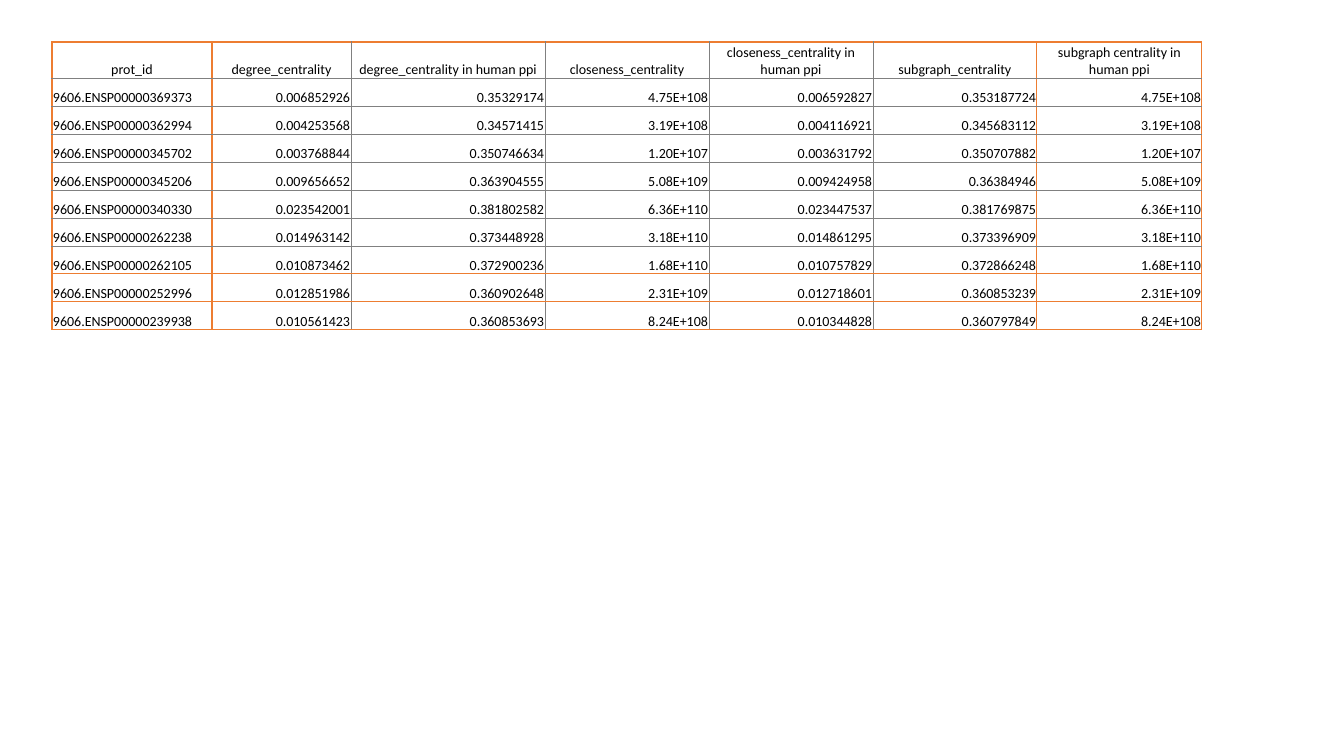
"""Build a slide with a table of protein centrality measures."""
from lxml import etree
from pptx import Presentation
from pptx.dml.color import RGBColor
from pptx.enum.text import MSO_ANCHOR, PP_ALIGN
from pptx.oxml.ns import qn
from pptx.util import Emu, Pt

HEADS = ["prot_id", "degree_centrality", "degree_centrality in human ppi",
         "closeness_centrality", "closeness_centrality in human ppi",
         "subgraph_centrality", "subgraph centrality in human ppi"]
PROTS = [
    ("9606.ENSP00000369373", "0.006852926", "0.35329174", "4.75E+108", "0.006592827", "0.353187724", "4.75E+108"),
    ("9606.ENSP00000362994", "0.004253568", "0.34571415", "3.19E+108", "0.004116921", "0.345683112", "3.19E+108"),
    ("9606.ENSP00000345702", "0.003768844", "0.350746634", "1.20E+107", "0.003631792", "0.350707882", "1.20E+107"),
    ("9606.ENSP00000345206", "0.009656652", "0.363904555", "5.08E+109", "0.009424958", "0.36384946", "5.08E+109"),
    ("9606.ENSP00000340330", "0.023542001", "0.381802582", "6.36E+110", "0.023447537", "0.381769875", "6.36E+110"),
    ("9606.ENSP00000262238", "0.014963142", "0.373448928", "3.18E+110", "0.014861295", "0.373396909", "3.18E+110"),
    ("9606.ENSP00000262105", "0.010873462", "0.372900236", "1.68E+110", "0.010757829", "0.372866248", "1.68E+110"),
    ("9606.ENSP00000252996", "0.012851986", "0.360902648", "2.31E+109", "0.012718601", "0.360853239", "2.31E+109"),
    ("9606.ENSP00000239938", "0.010561423", "0.360853693", "8.24E+108", "0.010344828", "0.360797849", "8.24E+108"),
]
WIDTHS = [160, 139, 194, 164, 164, 164, 165]
HEAD_H, ROW_H = 36, 28
LEFT, TOP = 52, 42
ORANGE_X = {0, 1, 6, 7}
ORANGE_Y = {0, 8, 9, 10}

BLACK = RGBColor(0, 0, 0)
ORANGE = RGBColor(0xED, 0x7D, 0x31)
GREY = RGBColor(0x80, 0x80, 0x80)
BOTTOM = MSO_ANCHOR.BOTTOM
CENTER, START, END = PP_ALIGN.CENTER, PP_ALIGN.LEFT, PP_ALIGN.RIGHT


def px(num):
    return Emu(round(num * 914400 / 100.8))


def add_edge(cell, tag, accent):
    color, width = (ORANGE, Pt(1)) if accent else (GREY, Pt(0.5))
    line = etree.SubElement(cell._tc.get_or_add_tcPr(), qn(tag), w=str(width))
    fill = etree.SubElement(line, qn("a:solidFill"))
    etree.SubElement(fill, qn("a:srgbClr"), val=str(color))


def set_cell(cell, text, row, col):
    cell.text = text
    cell.vertical_anchor = BOTTOM
    cell.margin_left = cell.margin_right = cell.margin_top = px(1)
    cell.margin_bottom = 0
    para = cell.text_frame.paragraphs[0]
    para.alignment = CENTER if row == 0 else START if col == 0 else END
    para.font.name = "Calibri"
    para.font.size = Pt(10)
    para.font.color.rgb = BLACK
    add_edge(cell, "a:lnL", col in ORANGE_X)
    add_edge(cell, "a:lnR", col + 1 in ORANGE_X)
    add_edge(cell, "a:lnT", row in ORANGE_Y)
    add_edge(cell, "a:lnB", row + 1 in ORANGE_Y)
    cell.fill.background()


def main():
    deck = Presentation()
    deck.slide_width, deck.slide_height = px(1344), px(756)
    slide = deck.slides.add_slide(deck.slide_layouts[6])
    rows = [HEADS, *PROTS]
    height = HEAD_H + ROW_H * len(PROTS)
    table = slide.shapes.add_table(len(rows), len(HEADS), px(LEFT), px(TOP),
                                   px(sum(WIDTHS)), px(height)).table
    table.first_row = table.horz_banding = False
    for col, width in enumerate(WIDTHS):
        table.columns[col].width = px(width)
    for row, texts in enumerate(rows):
        table.rows[row].height = px(ROW_H if row else HEAD_H)
        for col, text in enumerate(texts):
            set_cell(table.cell(row, col), text, row, col)
    deck.save("out.pptx")


if __name__ == "__main__":
    main()
